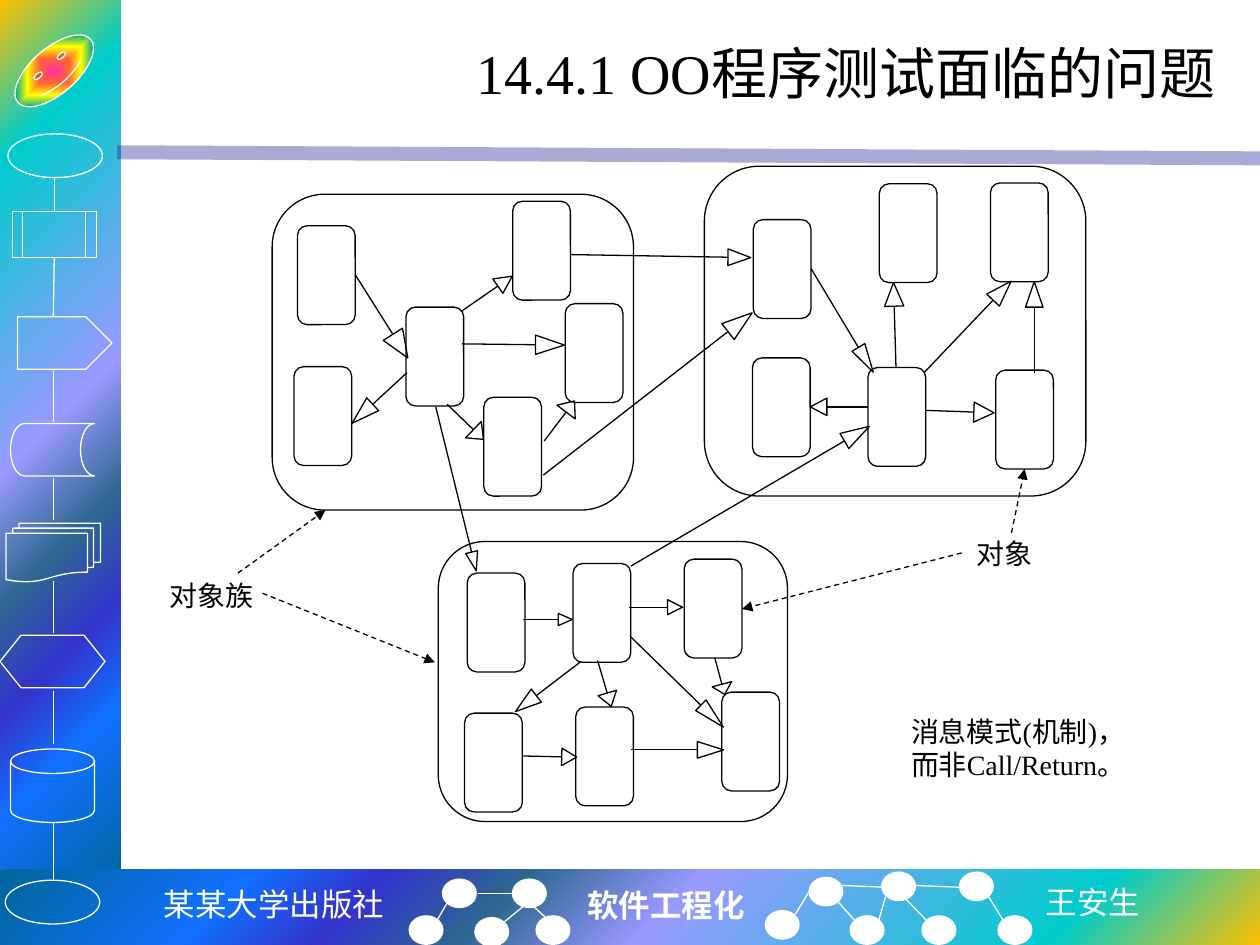
from math import atan2, cos, degrees, sin
from lxml import etree
from pptx import Presentation
from pptx.dml.color import RGBColor
from pptx.enum.dml import MSO_LINE
from pptx.enum.shapes import MSO_CONNECTOR, MSO_SHAPE
from pptx.enum.text import MSO_ANCHOR, MSO_AUTO_SIZE, PP_ALIGN
from pptx.oxml.ns import qn
from pptx.util import Pt

WHITE = RGBColor(255, 255, 255)
BLACK = RGBColor(0, 0, 0)
NAVY = RGBColor(0x26, 0x26, 0x99)
DASH = MSO_LINE.DASH
STRAIGHT = MSO_CONNECTOR.STRAIGHT
OVAL, ROUND = MSO_SHAPE.OVAL, MSO_SHAPE.ROUNDED_RECTANGLE
RECT, TRIANGLE = MSO_SHAPE.RECTANGLE, MSO_SHAPE.ISOSCELES_TRIANGLE
FACE = MSO_SHAPE.SMILEY_FACE
LEFT, MID, RIGHT = PP_ALIGN.LEFT, PP_ALIGN.CENTER, PP_ALIGN.RIGHT
TOP, MIDDLE = MSO_ANCHOR.TOP, MSO_ANCHOR.MIDDLE
FIT, FIXED = MSO_AUTO_SIZE.SHAPE_TO_FIT_TEXT, MSO_AUTO_SIZE.NONE
SERIF, MONO, SANS = "Times New Roman", "Noto Sans Mono", "Noto Sans CJK SC"

OCEAN = [(0, "FFC000"), (16, "00CCCC"), (47, "9999FF"), (60, "2E6792"),
         (71, "3333CC"), (81, "1170FF"), (100, "006699")]
FLAME = [(0, "FF3399"), (25, "FF6633"), (50, "FFFF00"), (75, "01A78F"),
         (100, "3366FF")]
BANDS = [((0, 0, 69, 510.5), (0, 0, 100, 100)),
         ((0, 497, 720, 43), (100, 100, 0, 0))]
FLOW = [
    (OVAL, 4.5, 76.5, 54, 25),
    (MSO_SHAPE.FLOWCHART_PREDEFINED_PROCESS, 7, 121, 48, 26),
    (MSO_SHAPE.PENTAGON, 10, 181, 54, 30),
    (MSO_SHAPE.FLOWCHART_STORED_DATA, 6, 242, 48, 30),
    (MSO_SHAPE.FLOWCHART_MULTIDOCUMENT, 3.5, 299, 54, 33.5),
    (MSO_SHAPE.FLOWCHART_PREPARATION, 0, 363, 60, 30),
    (MSO_SHAPE.FLOWCHART_MAGNETIC_DISK, 6, 428, 48, 42),
    (OVAL, 3, 503, 54, 25),
]
STEPS = [
    (31, 101, 31, 121), (31, 147.5, 30.5, 181), (30.5, 211, 30.5, 241),
    (30.5, 273, 30.5, 297), (30.5, 332, 30.5, 362),
    (30.5, 395, 30.5, 425), (30.5, 470, 30.5, 503),
]
NODES = [
    (252.5, 502), (233.5, 523), (271, 524), (292.5, 502), (306, 523),
    (462, 501), (437, 520), (485.5, 523), (503.5, 498), (548, 498),
    (570, 523), (526.5, 523),
]
LINKS = [
    (250, 525.5, 255.5, 516), (288, 527, 299.5, 517.5),
    (292.5, 510.5, 273, 510.5), (312.5, 525, 305.5, 518.5),
    (488, 525.5, 479, 515.5), (529, 525.5, 515, 511),
    (573, 525.5, 565, 512.5), (502, 526.5, 506, 512.5),
    (522.5, 506, 548, 507), (454.5, 522.5, 462, 510),
    (481, 506, 506, 507),
]
CLANS = [(155.5, 111, 206.5, 180.5), (402.5, 95, 218, 188.5),
         (250.5, 309.5, 199.5, 160)]
CELLS = [
    (170, 129), (232, 175.5), (168, 209.5), (293, 115), (323, 173.5),
    (276.5, 227), (430.5, 125.5), (496, 210), (430, 204.5), (502.5, 105),
    (569, 211.5), (566, 104.5), (267, 327.5), (327.5, 322),
    (265.5, 407.5), (391, 319.5), (412.5, 395.5), (329, 404),
]
CALLS = [
    (203, 157, 224.5, 191, 13, 16), (232.5, 213, 213, 231, 10, 16),
    (263.5, 178, 284.5, 163.5, 10, 10), (255.5, 231, 270.5, 245.5, 13, 8),
    (264, 196.5, 306, 197, 11, 16.5), (311, 252, 323.5, 235.5, 13, 8),
    (463.5, 153.5, 490.5, 198.5, 8.5, 16.5),
    (528, 213, 567.5, 171.5, 10, 15),
    (528.5, 234.5, 556.5, 235.5, 11.5, 11.5),
    (326, 145.5, 416, 147, 9.5, 13), (496, 232.5, 472.5, 232.5, 10, 9.5),
    (512, 210, 511, 175, 11, 13.5), (591, 213, 591, 175.5, 10, 14.5),
    (310.5, 271.5, 416, 189.5, 11.5, 17.5), (299, 354, 319, 354, 7, 8),
    (332, 378, 306.5, 397.5, 9.5, 15), (341.5, 377.5, 347, 396, 11, 8),
    (299, 432, 321, 432.5, 10, 8.5), (359.5, 347, 381.5, 347, 8.5, 8.5),
    (360.5, 428.5, 398.5, 428.5, 9.5, 15),
    (249, 232.5, 269.5, 315.5, 7, 11), (408.5, 376, 412.5, 391, 11.5, 6),
    (360, 363.5, 400.5, 403, 8.5, 18),
    (360.5, 323.5, 482.5, 252, 10, 16.5),
]
NOTES = [(136, 327.5, 186, 291.5), (150, 339, 248.5, 378.5),
         (578, 304.5, 585.5, 268), (549.5, 316, 424, 348)]
TITLE = ("14.4.1 OO程序测试面临的问题", (90, 12, 612, 58.5), 32, SERIF, BLACK, RIGHT)
LABELS = [
    ("对象族", (90, 327, 66, 26.5), 16, SERIF, BLACK, LEFT),
    ("消息模式(机制)，而非Call/Return。", (513.5, 404.5, 142, 46), 16, SERIF, BLACK, LEFT),
    ("对象", (551, 303, 66, 26.5), 16, SERIF, BLACK, LEFT),
]
FOOT = [
    ("某某大学出版社", (85.5, 502, 142, 29), 18, MONO, WHITE, MID),
    ("软件工程化", (328.5, 502.5, 105, 29), 18, SERIF, WHITE, LEFT),
    ("王安生", (590.5, 501, 69, 29), 18, SANS, WHITE, LEFT),
]

deck = Presentation()
deck.slide_width, deck.slide_height = Pt(720), Pt(540)
page = deck.slides.add_slide(deck.slide_layouts[6]).shapes


def shape(kind, box, line=None, fill=None, home=page):
    item = home.add_shape(kind, *map(Pt, box))
    item.shadow.inherit = False
    if fill is None:
        item.fill.background()
    else:
        item.fill.solid()
        item.fill.fore_color.rgb = fill
    if line is None:
        item.line.fill.background()
    else:
        item.line.color.rgb = line
        item.line.width = Pt(0.75)
    return item


def blend(item, stops, form, rim):
    item.fill.gradient()
    grad = item.fill._xPr.find(qn("a:gradFill"))
    for child in list(grad):
        grad.remove(child)
    row = etree.SubElement(grad, qn("a:gsLst"))
    for place, tone in stops:
        stop = etree.SubElement(row, qn("a:gs"), pos=str(place * 1000))
        etree.SubElement(stop, qn("a:srgbClr"), val=tone)
    way = etree.SubElement(grad, qn("a:path"), {"path": form})
    etree.SubElement(way, qn("a:fillToRect"),
                     {k: str(v * 1000) for k, v in zip("ltrb", rim)})


def line(ends, tone, width=0.75, home=page):
    item = home.add_connector(STRAIGHT, *map(Pt, ends))
    item.line.color.rgb = tone
    item.line.width = Pt(width)
    etree.SubElement(item._element.spPr, qn("a:effectLst"))
    return item


def call(x1, y1, x2, y2, wide, high):
    home = page.add_group_shape().shapes
    line((x1, y1, x2, y2), BLACK, home=home)
    turn = atan2(y2 - y1, x2 - x1)
    x, y = x2 + cos(turn) * high / 2, y2 + sin(turn) * high / 2
    tip = shape(TRIANGLE, (x - wide / 2, y - high / 2, wide, high), BLACK, home=home)
    tip.rotation = degrees(turn) + 90


def text(words, box, size, face, tone, side, wrap=True, bold=False, hold=TOP, grow=FIT):
    item = page.add_textbox(*map(Pt, box))
    frame = item.text_frame
    frame.text = words
    frame.word_wrap = wrap
    frame.auto_size = grow
    frame.vertical_anchor = hold
    part = frame.paragraphs[0]
    part.alignment = side
    font = part.runs[0].font
    font.size, font.name, font.bold = Pt(size), face, bold
    font.color.rgb = tone


for box, rim in BANDS:
    blend(shape(RECT, box), OCEAN, "circle", rim)
rule = line((67, 87, 720, 90.5), NAVY, 8)
tint = rule.line._ln.find(".//" + qn("a:srgbClr"))
etree.SubElement(tint, qn("a:alpha"), val="39000")
for kind, *box in FLOW:
    shape(kind, box, WHITE)
badge = shape(FACE, (3.5, 27.5, 55, 26), WHITE)
badge.adjustments[0] = 0.05
badge.rotation = -41
blend(badge, FLAME, "shape", (50, 50, 50, 50))
for x, y in NODES:
    shape(OVAL, (x, y, 20, 17), fill=WHITE)
for ends in STEPS + LINKS:
    line(ends, WHITE)
for entry in FOOT:
    text(*entry, wrap=False, bold=entry is FOOT[1])

text(*TITLE, hold=MIDDLE, grow=FIXED)
for box in CLANS:
    shape(ROUND, box, BLACK)
for x, y in CELLS:
    shape(ROUND, (x, y, 33, 56.5), BLACK)
for spot in CALLS:
    call(*spot)
for ends in NOTES:
    note = line(ends, BLACK)
    note.line.dash_style = DASH
    etree.SubElement(note.line._ln, qn("a:tailEnd"), type="triangle")
for entry in LABELS:
    text(*entry)

deck.save("out.pptx")
